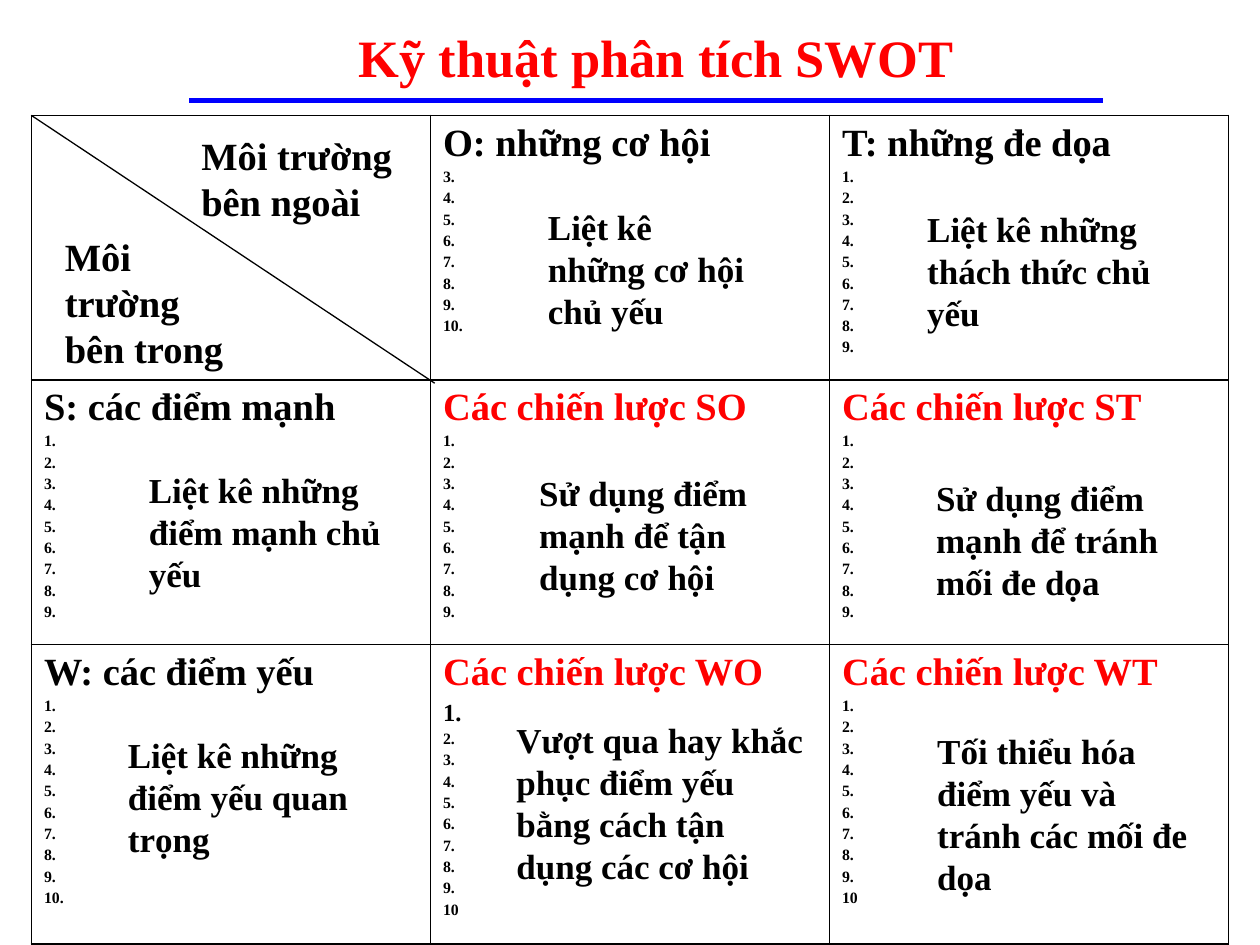
from lxml import etree
from pptx import Presentation
from pptx.dml.color import RGBColor
from pptx.enum import shapes, text
from pptx.oxml import ns
from pptx.util import Pt

RED = RGBColor(255, 0, 0)
BLUE = RGBColor(0, 0, 255)
BLACK = RGBColor(0, 0, 0)
FONT = "Times New Roman"


def write(frame, words, size=20, color=BLACK, gap=0, align=text.PP_ALIGN.LEFT):
    """Fill the empty first paragraph, or add one below the others."""
    para = frame.paragraphs[0] if not frame.text else frame.add_paragraph()
    para.alignment = align
    para.space_before = Pt(gap)
    run = para.add_run()
    run.text = words
    font = run.font
    font.name, font.size, font.bold = FONT, Pt(size), True
    font.color.rgb = color


def rule(x1, y1, x2, y2, color, width):
    line = slide.shapes.add_connector(
        shapes.MSO_CONNECTOR.STRAIGHT, Pt(x1), Pt(y1), Pt(x2), Pt(y2))
    line.line.color.rgb = color
    line.line.width = Pt(width)
    etree.SubElement(line._element.spPr, ns.qn("a:effectLst"))


deck = Presentation()
deck.slide_width, deck.slide_height = Pt(720), Pt(540)
slide = deck.slides.add_slide(deck.slide_layouts[5])

# Title and its underline
title = slide.shapes.title
title.left, title.top, title.width, title.height = Pt(114), Pt(10.8), Pt(522), Pt(43.2)
title.text_frame.vertical_anchor = text.MSO_ANCHOR.TOP
write(title.text_frame, "Kỹ thuật phân tích SWOT", size=30, color=RED,
      align=text.PP_ALIGN.CENTER)
rule(108, 57.6, 630, 57.6, BLUE, 3)

# SWOT matrix: heading, heading colour, numbers
one = [f"{n}." for n in range(1, 10)]
cells = [
    [None,
     ("O: những cơ hội", BLACK, one[2:] + ["10."]),
     ("T: những đe dọa", BLACK, one)],
    [("S: các điểm mạnh", BLACK, one),
     ("Các chiến lược SO", RED, one),
     ("Các chiến lược ST", RED, one)],
    [("W: các điểm yếu", BLACK, one + ["10."]),
     ("Các chiến lược WO", RED, one + ["10"]),
     ("Các chiến lược WT", RED, one + ["10"])],
]
grid = slide.shapes.add_table(3, 3, Pt(18), Pt(66), Pt(684), Pt(473.4)).table
grid.first_row = grid.horz_banding = False
for row, high in zip(grid.rows, (151.2, 151.2, 171)):
    row.height = Pt(high)
for col in grid.columns:
    col.width = Pt(228)

for r, row in enumerate(cells):
    for c, item in enumerate(row):
        cell = grid.cell(r, c)
        cell.fill.background()
        props = cell._tc.get_or_add_tcPr()
        for i, side in enumerate(("lnL", "lnR", "lnT", "lnB")):
            edge = etree.Element(ns.qn(f"a:{side}"), w=str(Pt(1.08)))
            fill = etree.SubElement(edge, ns.qn("a:solidFill"))
            etree.SubElement(fill, ns.qn("a:srgbClr"), val=str(BLACK))
            props.insert(i, edge)
        if item is None:
            continue
        head, color, marks = item
        write(cell.text_frame, head, size=22, color=color, gap=5.5)
        for mark in marks:
            # The first WO number is larger than the rest
            big = head.endswith("WO") and mark == "1."
            write(cell.text_frame, mark, size=14 if big else 9, gap=3.5 if big else 2.2)

# Diagonal of the corner cell
rule(18, 66, 248.4, 219, BLACK, 0.75)

# Labels and notes over the matrix: left, top, width, height, size, words
notes = [
    (108, 72, 136.8, 60.5, 22, "Môi trường bên ngoài"),
    (30, 129.6, 114, 86.4, 22, "Môi trường bên trong"),
    (306, 114, 132, 79.2, 20, "Liệt kê những cơ hội chủ yếu"),
    (522.7, 115.2, 144.7, 79.2, 20, "Liệt kê những thách thức chủ yếu"),
    (78, 264, 150, 79.2, 20, "Liệt kê những điểm mạnh chủ yếu"),
    (301, 265.7, 149, 79.2, 20, "Sử dụng điểm mạnh để tận dụng cơ hội"),
    (527.8, 268.6, 150.5, 79.2, 20, "Sử dụng điểm mạnh để tránh mối đe dọa"),
    (66, 415.4, 169.2, 79.2, 20, "Liệt kê những điểm yếu quan trọng"),
    (288, 406.8, 180, 103.7, 20,
     "Vượt qua hay khắc phục điểm yếu bằng cách tận dụng các cơ hội"),
    (528.5, 413.3, 167.8, 103.7, 20, "Tối thiểu hóa điểm yếu và tránh các mối đe dọa"),
]
for x, y, wide, high, size, words in notes:
    box = slide.shapes.add_textbox(Pt(x), Pt(y), Pt(wide), Pt(high))
    box.text_frame.word_wrap = True
    write(box.text_frame, words, size=size)

deck.save("out.pptx")
